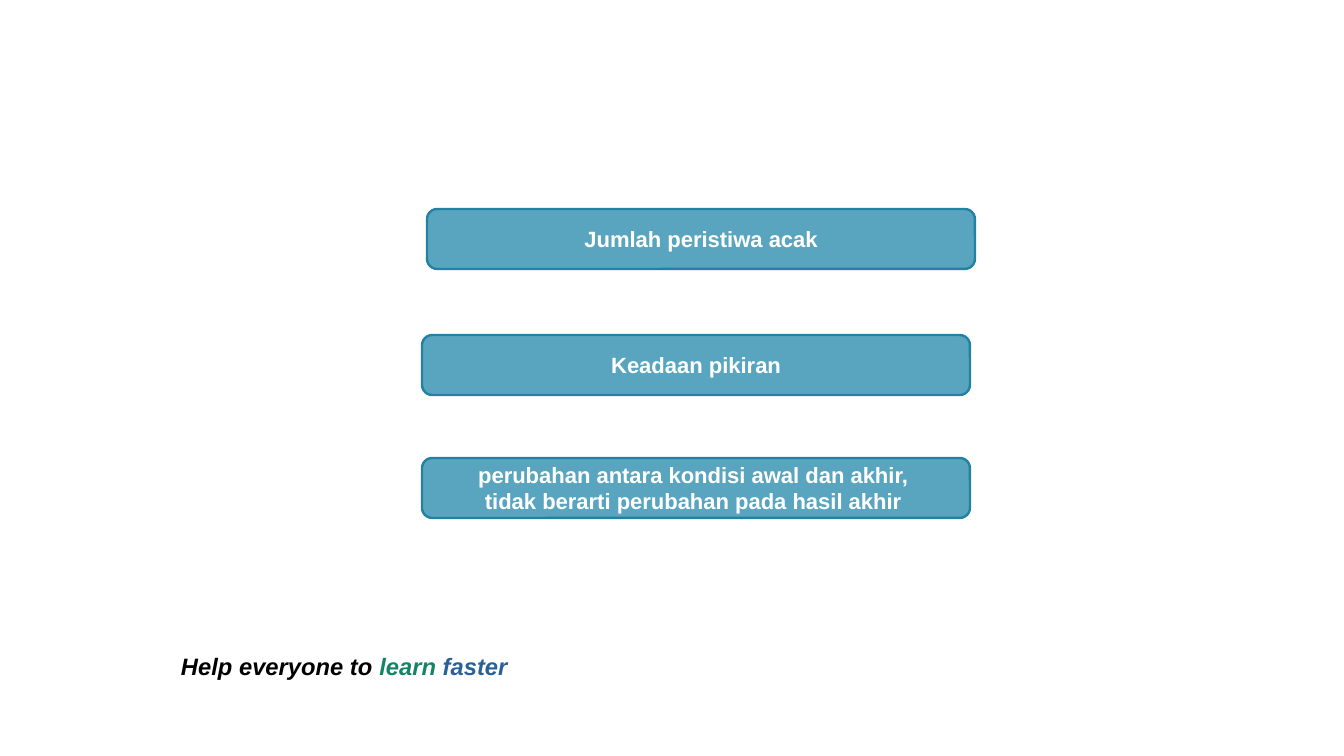
from pptx import Presentation
from pptx.dml.color import RGBColor
from pptx.enum.shapes import MSO_SHAPE
from pptx.enum.text import MSO_ANCHOR, PP_ALIGN
from pptx.util import Emu, Pt

PX_PER_INCH = 122
COLORS = {
    "fill": "59A5BF",
    "line": "2382A1",
    "white": "FFFFFF",
    "black": "000000",
    "green": "158466",
    "blue": "2A6099",
}
ANSWER_W, ANSWER_H = 548, 60
ANSWERS = [
    (427, 209, ["Jumlah peristiwa acak"]),
    (422, 335, ["Keadaan pikiran"]),
    (422, 458, ["perubahan antara kondisi awal dan akhir, ",
                "tidak berarti perubahan pada hasil akhir "]),
]
TAGLINE = [("Help everyone to ", "black"), ("learn ", "green"), ("faster", "blue")]


def px(n):
    return Emu(round(n * 914400 / PX_PER_INCH))


def color(name):
    return RGBColor.from_string(COLORS[name])


def style(font, size, color_name):
    font.name = "Arial"
    font.size = Pt(size)
    font.bold = True
    font.color.rgb = color(color_name)


def add_answer(slide, x, y, w, h, lines):
    sp = slide.shapes.add_shape(MSO_SHAPE.ROUNDED_RECTANGLE, px(x), px(y), px(w), px(h))
    sp.adjustments[0] = 0.17
    sp.shadow.inherit = False
    sp.fill.solid()
    sp.fill.fore_color.rgb = color("fill")
    sp.line.color.rgb = color("line")
    sp.line.width = Pt(1.42)
    tf = sp.text_frame
    tf.word_wrap = False
    tf.vertical_anchor = MSO_ANCHOR.MIDDLE
    tf.text = "\n".join(lines)
    for p in tf.paragraphs:
        p.alignment = PP_ALIGN.CENTER
        for r in p.runs:
            style(r.font, 13, "white")


def add_tagline(slide, x, y, w, h):
    tf = slide.shapes.add_textbox(px(x), px(y), px(w), px(h)).text_frame
    tf.word_wrap = True
    p = tf.paragraphs[0]
    for text, color_name in TAGLINE:
        r = p.add_run()
        r.text = text
        style(r.font, 14, color_name)
        r.font.italic = True


def main():
    prs = Presentation()
    prs.slide_width, prs.slide_height = px(1344), px(756)
    slide = prs.slides.add_slide(prs.slide_layouts[6])
    for x, y, lines in ANSWERS:
        add_answer(slide, x, y, ANSWER_W, ANSWER_H, lines)
    add_tagline(slide, 169, 646, 364, 39)
    prs.save("out.pptx")


if __name__ == "__main__":
    main()
